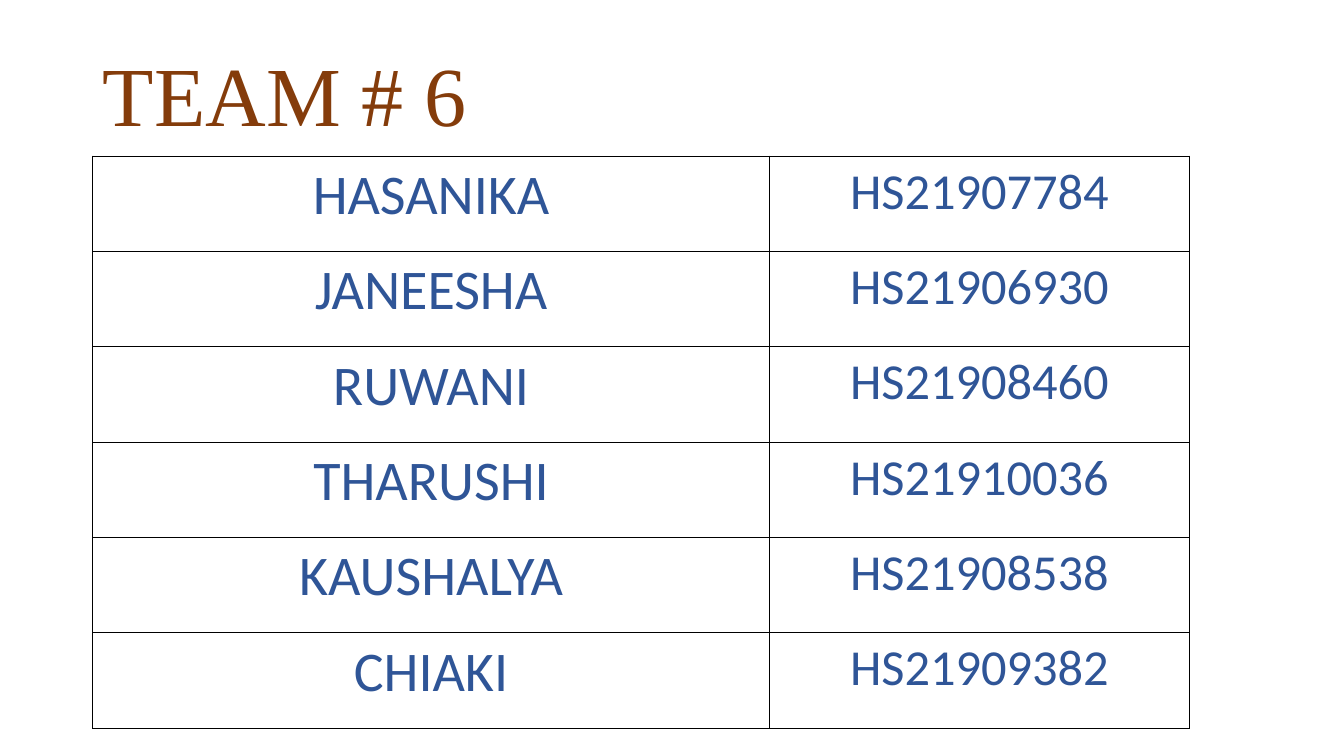
from lxml import etree
from pptx import Presentation
from pptx.dml.color import RGBColor
from pptx.enum.text import MSO_ANCHOR, PP_ALIGN
from pptx.oxml.ns import qn
from pptx.util import Inches, Pt

COLORS = {"title": "843C0B", "text": "2F5597", "border": "000000"}
MEMBERS = [
    ("HASANIKA", "HS21907784"),
    ("JANEESHA", "HS21906930"),
    ("RUWANI", "HS21908460"),
    ("THARUSHI", "HS21910036"),
    ("KAUSHALYA", "HS21908538"),
    ("CHIAKI", "HS21909382"),
]
COLUMN_WIDTHS = (6.71, 4.17)
COLUMN_SIZES = (40, 36)
ROW_HEIGHT = 0.946


def add_run(p, text, size, font, color):
    r = p.add_run()
    r.text = text
    r.font.size = Pt(size)
    r.font.name = font
    r.font.bold = False
    r.font.color.rgb = RGBColor.from_string(COLORS[color])


def add_borders(cell):
    tc_pr = cell._tc.get_or_add_tcPr()
    for side in ("lnL", "lnR", "lnT", "lnB"):
        ln = etree.SubElement(tc_pr, qn(f"a:{side}"), w=str(Pt(1)))
        fill = etree.SubElement(ln, qn("a:solidFill"))
        etree.SubElement(fill, qn("a:srgbClr"), val=COLORS["border"])


prs = Presentation()
prs.slide_width = Inches(13.33)
prs.slide_height = Inches(7.5)
s = prs.slides.add_slide(prs.slide_layouts[5])

title = s.shapes.title
title.left, title.top = Inches(0.92), Inches(0.25)
title.width, title.height = Inches(6.56), Inches(1.46)
tf = title.text_frame
tf.word_wrap = True
tf.vertical_anchor = MSO_ANCHOR.MIDDLE
p = tf.paragraphs[0]
p.alignment = PP_ALIGN.LEFT
p.line_spacing = 0.9
add_run(p, "TEAM # 6", 60, "Times New Roman", "title")

table = s.shapes.add_table(
    len(MEMBERS), len(COLUMN_WIDTHS), Inches(0.92), Inches(1.55),
    Inches(sum(COLUMN_WIDTHS)), Inches(ROW_HEIGHT * len(MEMBERS)),
).table
table.first_row = False
table.horz_banding = False
for column, width in zip(table.columns, COLUMN_WIDTHS):
    column.width = Inches(width)

for row, member in zip(table.rows, MEMBERS):
    row.height = Inches(ROW_HEIGHT)
    for cell, text, size in zip(row.cells, member, COLUMN_SIZES):
        add_borders(cell)
        cell.fill.background()
        p = cell.text_frame.paragraphs[0]
        p.alignment = PP_ALIGN.CENTER
        add_run(p, text, size, "Calibri", "text")

prs.save("out.pptx")
